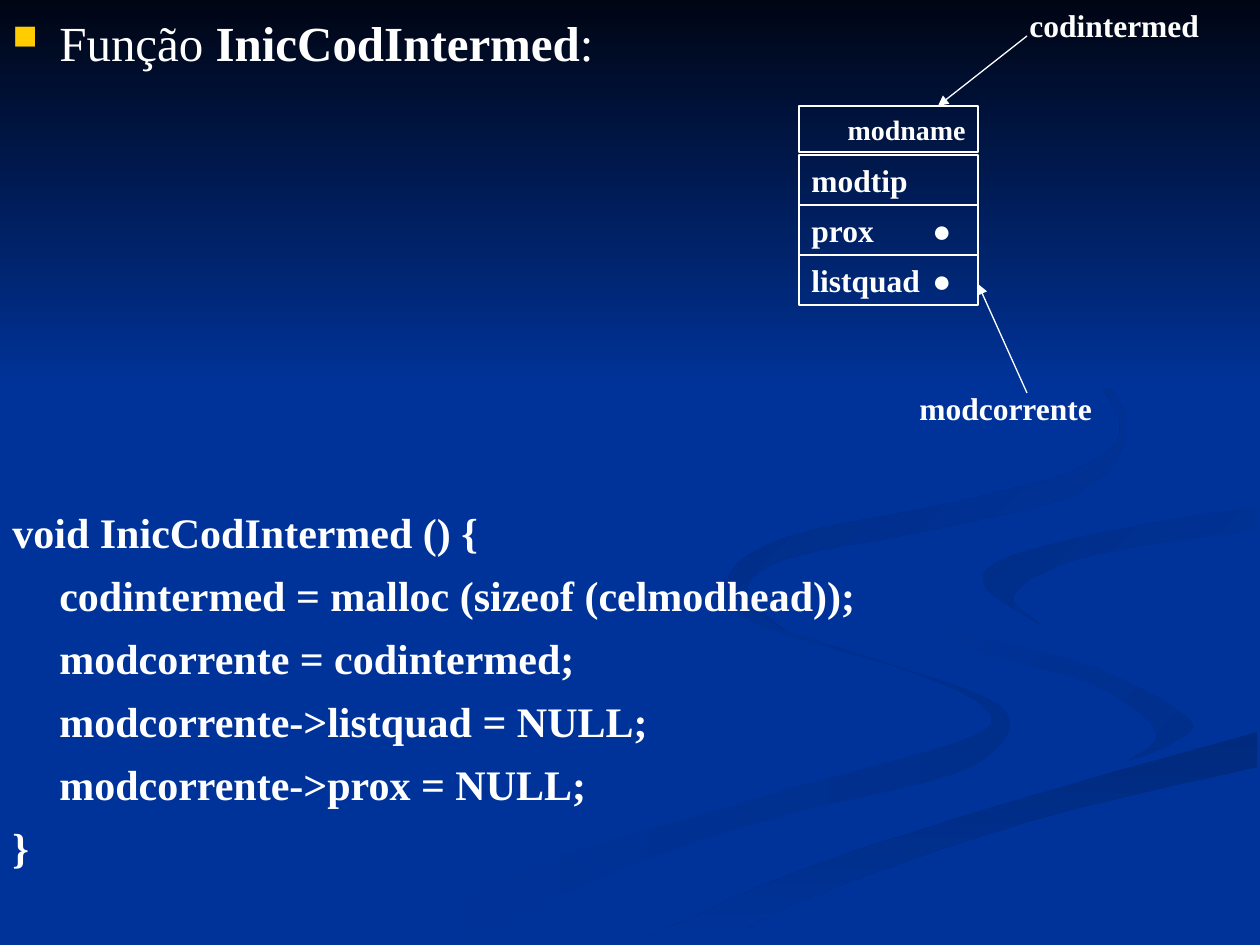
from dataclasses import dataclass
from typing import Any, NamedTuple

from lxml.etree import SubElement
from pptx import Presentation
from pptx.dml.color import RGBColor as Rgb
from pptx.enum.shapes import MSO_CONNECTOR as Connector, MSO_SHAPE as Preset
from pptx.enum.text import MSO_ANCHOR as Anchor, PP_ALIGN as Align
from pptx.oxml.ns import qn
from pptx.util import Emu, Pt

SCALE = 914400 / 126
WIDTH, HEIGHT = 1260, 945
CURVE_STEPS = 5

Point = tuple[int, int]


@dataclass(frozen=True)
class Theme:
    background: str = "003399"
    night: str = "000514"
    ink: str = "FFFFFF"
    bullet: str = "FFCC00"
    serif: str = "Times New Roman"
    sans: str = "Arial"
    title: float = 28
    code: float = 24
    label: float = 18
    small: float = 16
    line: float = 0.75
    code_gap: float = 7.2


THEME = Theme()


class Box(NamedTuple):
    left: int
    top: int
    width: int
    height: int


class Run(NamedTuple):
    text: str
    size: float = THEME.label
    bold: bool = True
    face: str = THEME.serif


class Label(NamedTuple):
    box: Box
    run: Run
    align: Align = Align.LEFT
    framed: bool = False


class Arrow(NamedTuple):
    start: Point
    end: Point


class Gradient(NamedTuple):
    start: str
    end: str
    angle: int


class Ribbon(NamedTuple):
    """Two smooth edges, walked there and back."""
    gradient: Gradient
    there: list[Point]
    back: list[Point]


class CodeLine(NamedTuple):
    text: str
    indent: int = 0


RIBBONS = [
    Ribbon(Gradient(THEME.background, "002E8B", 0),
           [(724, 578), (774, 625), (859, 654), (984, 697), (1008, 732), (953, 774), (785, 815),
            (629, 866), (455, 944)],
           [(378, 944), (525, 869), (776, 793), (956, 743), (990, 713), (917, 674), (770, 629),
            (721, 600), (724, 578)]),
    Ribbon(Gradient(THEME.background, "002E8B", 45),
           [(912, 585), (955, 627), (1096, 668), (1188, 718), (1174, 742), (1126, 762)],
           [(1126, 762), (1157, 732), (1094, 685), (965, 645), (912, 585)]),
    Ribbon(Gradient("002A7D", THEME.background, 90),
           [(634, 944), (794, 873), (1004, 804), (1257, 732)],
           [(1257, 767), (1034, 820), (818, 894), (719, 944)]),
    Ribbon(Gradient("002D86", THEME.background, 45),
           [(1257, 507), (1131, 527), (1007, 557), (985, 587), (1041, 625)],
           [(1041, 625), (1014, 595), (1082, 558), (1257, 529)]),
    Ribbon(Gradient("002B82", THEME.background, 45),
           [(960, 294), (1089, 367), (1126, 433), (1077, 493), (931, 530), (786, 559), (747, 592),
            (784, 630)],
           [(784, 630), (727, 582), (788, 537), (961, 501), (1085, 466), (1120, 422), (1066, 352),
            (960, 294)]),
]
SKY = Gradient(THEME.night, THEME.background, 90)

INDENT = 47
CELL_LEFT, CELL_WIDTH, CELL_TOP, CELL_STEP = 799, 179, 155, 50
FIELDS = ["modtip", "prox", "listquad"]
POINTERS = ["prox", "listquad"]
TITLE = [Run("Função ", THEME.title, False), Run("InicCodIntermed", THEME.title),
         Run(":", THEME.title, False)]
CODE = [
    CodeLine("void InicCodIntermed () {"),
    CodeLine("codintermed = malloc (sizeof (celmodhead));", INDENT),
    CodeLine("modcorrente = codintermed;", INDENT),
    CodeLine("modcorrente->listquad = NULL;", INDENT),
    CodeLine("modcorrente->prox = NULL;", INDENT),
    CodeLine("}"),
]


def field_top(field: str) -> int:
    return CELL_TOP + CELL_STEP * FIELDS.index(field)


LABELS = [
    Label(Box(1017, 0, 208, 50), Run("codintermed")),
    Label(Box(CELL_LEFT, 106, CELL_WIDTH, 46), Run("modname", THEME.small), Align.RIGHT, True),
    *(Label(Box(CELL_LEFT, field_top(f), CELL_WIDTH, CELL_STEP), Run(f), framed=True)
      for f in FIELDS),
    Label(Box(907, 383, 208, 50), Run("modcorrente")),
    *(Label(Box(907, field_top(f), 70, CELL_STEP), Run("●", face=THEME.sans), Align.CENTER)
      for f in POINTERS),
]
ARROWS = [Arrow((1027, 36), (938, 106)), Arrow((1027, 393), (978, 284))]


def px(length: int) -> Emu:
    return Emu(round(length * SCALE))


def apply(target: Any, values: dict[str, Any]) -> None:
    for name, value in values.items():
        setattr(target, name, value)


def add_run(paragraph: Any, run: Run) -> None:
    piece = paragraph.add_run()
    piece.text = run.text
    apply(piece.font, {"name": run.face, "size": Pt(run.size), "bold": run.bold})
    piece.font.color.rgb = Rgb.from_string(THEME.ink)


def smooth(knots: list[Point]) -> list[Point]:
    """Run a Catmull-Rom curve through the knots."""
    padded = [knots[0], *knots, knots[-1]]
    curve = [knots[0]]
    for quad in zip(padded, padded[1:], padded[2:], padded[3:]):
        for step in range(1, CURVE_STEPS + 1):
            t = step / CURVE_STEPS
            curve.append(tuple(
                round(b + t * (c - a + t * (2 * a - 5 * b + 4 * c - d
                                            + t * (3 * b - a - 3 * c + d))) / 2)
                for a, b, c, d in zip(*quad)))
    return curve


def paint(shape: Any, gradient: Gradient) -> None:
    shape.shadow.inherit = False
    shape.line.fill.background()
    shape.fill.gradient()
    shape.fill.gradient_angle = -gradient.angle % 360
    for position, stop in enumerate(shape.fill.gradient_stops):
        stop.color.rgb = Rgb.from_string(gradient[position])
        stop.position = position


def draw_ribbon(slide: Any, ribbon: Ribbon) -> None:
    start, *rest = smooth(ribbon.there) + smooth(ribbon.back)
    builder = slide.shapes.build_freeform(*start, scale=SCALE)
    builder.add_line_segments(rest, close=True)
    paint(builder.convert_to_shape(), ribbon.gradient)


def add_text_box(slide: Any, box: Box) -> Any:
    frame = slide.shapes.add_textbox(*map(px, box)).text_frame
    frame.word_wrap = True
    return frame


def draw_label(slide: Any, label: Label) -> None:
    if label.framed:
        cell = slide.shapes.add_shape(Preset.RECTANGLE, *map(px, label.box))
        cell.shadow.inherit = False
        cell.fill.background()
        cell.line.width = Pt(THEME.line)
        cell.line.color.rgb = Rgb.from_string(THEME.ink)
        frame = cell.text_frame
    else:
        frame = add_text_box(slide, label.box)
    apply(frame, {"word_wrap": True, "vertical_anchor": Anchor.TOP})
    frame.paragraphs[0].alignment = label.align
    add_run(frame.paragraphs[0], label.run)


def draw_arrow(slide: Any, arrow: Arrow) -> None:
    ends = map(px, (*arrow.start, *arrow.end))
    link = slide.shapes.add_connector(Connector.STRAIGHT, *ends)
    link.line.width = Pt(THEME.line)
    link.line.color.rgb = Rgb.from_string(THEME.ink)
    SubElement(link.line._get_or_add_ln(), qn("a:tailEnd"), type="triangle")
    SubElement(link._element.spPr, qn("a:effectLst"))


def draw_title(slide: Any) -> None:
    paragraph = add_text_box(slide, Box(0, 6, 760, 70)).paragraphs[0]
    props = paragraph._p.get_or_add_pPr()
    for name, value in {"marL": INDENT, "indent": -INDENT}.items():
        props.set(name, str(int(px(value))))
    SubElement(SubElement(props, qn("a:buClr")), qn("a:srgbClr"), val=THEME.bullet)
    SubElement(props, qn("a:buSzPct"), val="70000")
    SubElement(props, qn("a:buChar"), char="■")
    for run in TITLE:
        add_run(paragraph, run)


def draw_code(slide: Any) -> None:
    frame = add_text_box(slide, Box(0, 500, WIDTH, 380))
    for number, line in enumerate(CODE):
        paragraph = frame.add_paragraph() if number else frame.paragraphs[0]
        paragraph._p.get_or_add_pPr().set("marL", str(int(px(line.indent))))
        paragraph.space_before = Pt(THEME.code_gap if number else 0)
        add_run(paragraph, Run(line.text, THEME.code))


def main() -> None:
    deck = Presentation()
    apply(deck, {"slide_width": px(WIDTH), "slide_height": px(HEIGHT)})
    slide = deck.slides.add_slide(deck.slide_layouts[6])
    slide.background.fill.solid()
    slide.background.fill.fore_color.rgb = Rgb.from_string(THEME.background)
    for ribbon in RIBBONS:
        draw_ribbon(slide, ribbon)
    paint(slide.shapes.add_shape(Preset.RECTANGLE, 0, 0, px(WIDTH), px(388)), SKY)
    draw_title(slide)
    draw_code(slide)
    for label in LABELS:
        draw_label(slide, label)
    for arrow in ARROWS:
        draw_arrow(slide, arrow)
    deck.save("out.pptx")


if __name__ == "__main__":
    main()
